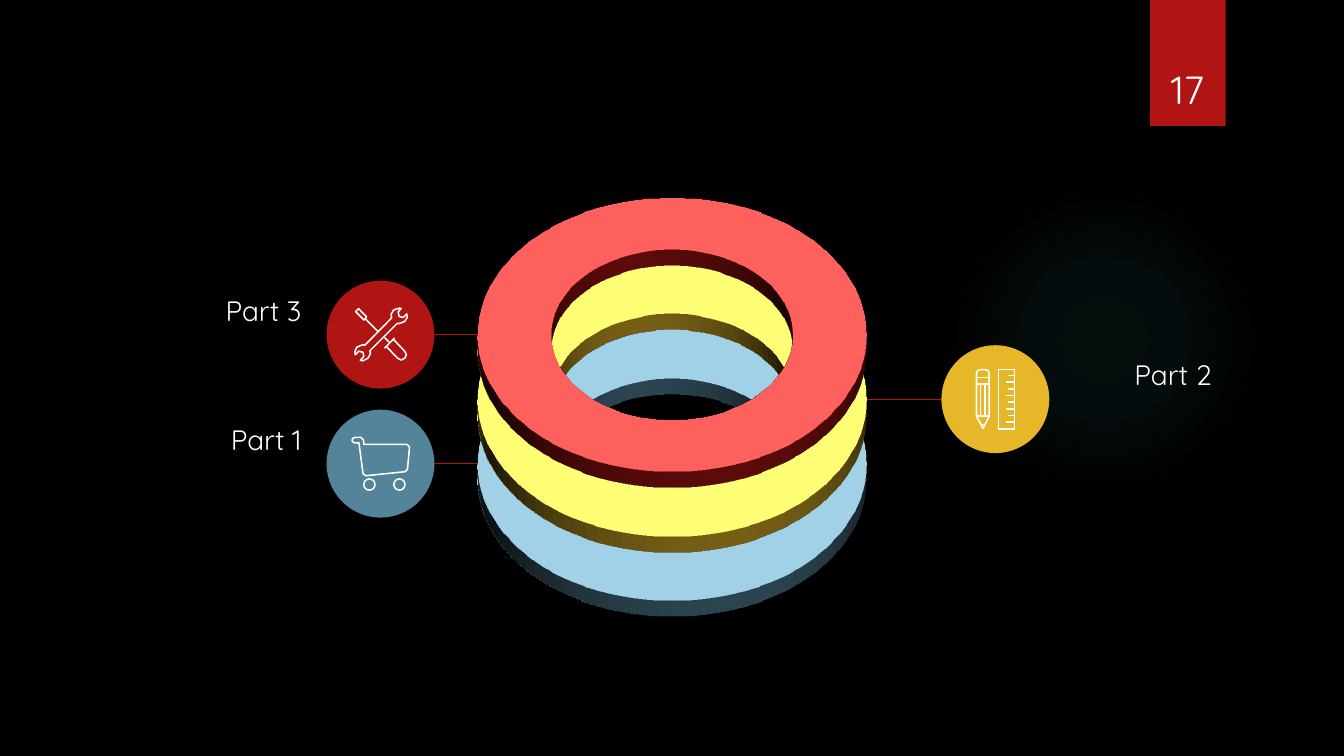
"""Build a slide with three stacked rings, each tied to a labelled badge."""
from dataclasses import dataclass
from math import cos, pi, sin

from lxml import etree
from pptx import Presentation
from pptx import util as u
from pptx.dml.color import RGBColor
from pptx.enum import shapes, text
from pptx.oxml import parse_xml
from pptx.oxml.ns import qn

COLS, ROWS, CELL = 160, 90, 76200
NS = 'xmlns:a="http://schemas.openxmlformats.org/drawingml/2006/main"'
FONT = "Quicksand"
RED, YELLOW, BLUE, WHITE, BLACK = "B01513", "E6B729", "54849A", "FFFFFF", "000000"
RING, RING_LEFT = 46.32, 56.88
BADGE = 12.84
TOP_LEVEL, STEP = 39.84, 7.68

Point = tuple[int, int]


@dataclass
class Part:
    label: str
    color: str
    tier: int
    badge_left: float
    label_left: float
    ring_side: float

    @property
    def level(self) -> float:
        """Give the row of the part's centre line."""
        return TOP_LEVEL + STEP * self.tier


@dataclass
class Stroke:
    points: list[Point]
    closed: bool = False


@dataclass
class Icon:
    left: float
    top: float
    strokes: list[Stroke]


def wheel(x: int, y: int, radius: int = 55, sides: int = 24) -> Stroke:
    """Give a round outline."""
    turns = [2 * pi * i / sides for i in range(sides)]
    return Stroke([(round(x + radius * cos(t)), round(y + radius * sin(t))) for t in turns], True)


PARTS = [
    Part("Part 1", BLUE, 2, 38.88, 19.08, RING_LEFT),
    Part("Part 2", YELLOW, 1, 112.08, 127.44, RING_LEFT + RING),
    Part("Part 3", RED, 0, 38.88, 19.08, RING_LEFT),
]

TOOLS = Icon(42, 36.6, [
    Stroke([(170, 430), (175, 460), (150, 505), (100, 530), (75, 525), (110, 485), (100, 445),
            (60, 435), (25, 470), (20, 440), (40, 395), (100, 370), (120, 375), (385, 105),
            (380, 70), (405, 25), (460, 8), (480, 10), (450, 45), (460, 90), (500, 100),
            (535, 65), (540, 100), (515, 140), (460, 160), (440, 160)], True),
    Stroke([(110, 125), (28, 42), (58, 13), (137, 95)], True),
    Stroke([(125, 115), (245, 235)]),
    Stroke([(315, 298), (360, 345)]),
    Stroke([(315, 405), (415, 303)]),
    Stroke([(335, 390), (445, 505), (480, 522), (515, 505), (532, 470), (515, 435), (405, 320)]),
])
CART = Icon(41.76, 51.96, [
    Stroke([(40, 10), (100, 10), (125, 32), (132, 80), (560, 80), (583, 105), (563, 325),
            (540, 350), (150, 390), (122, 370), (82, 65), (40, 65), (18, 52), (12, 38),
            (20, 20)], True),
    wheel(185, 477),
    wheel(483, 477),
])
PENCIL = Icon(116.16, 43.92, [
    Stroke([(8, 470), (8, 40), (18, 16), (40, 8), (100, 8), (124, 16), (134, 40), (134, 470),
            (72, 590)], True),
    *[Stroke([(8, y), (134, y)]) for y in (85, 150, 470)],
    *[Stroke([(x, 150), (x, 470)]) for x in (48, 94)],
    Stroke([(54, 550), (90, 550)]),
])
RULER = Icon(118.8, 43.92, [
    Stroke([(6, 6), (166, 6), (166, 594), (6, 594)], True),
    *[Stroke([(85 if i % 2 else 105, 66 + 66 * i), (166, 66 + 66 * i)]) for i in range(8)],
])


def g(cells: float) -> u.Emu:
    """Turn grid cells into a length."""
    return u.Emu(round(cells * CELL))


def rgb(value: str) -> RGBColor:
    """Turn a hex string into a colour."""
    return RGBColor.from_string(value)


def add_filled(s, kind, left: float, top: float, width: float, height: float, color: str):
    """Add a flat preset shape without outline or shadow."""
    sp = s.shapes.add_shape(kind, g(left), g(top), g(width), g(height))
    sp.shadow.inherit = False
    sp.fill.solid()
    sp.fill.fore_color.rgb = rgb(color)
    sp.line.fill.background()
    return sp


def add_glow(s) -> None:
    """Add the faint round glow at the right."""
    sp = add_filled(s, shapes.MSO_SHAPE.OVAL, 112.92, 21.96, 36.96, 36.96, BLACK)
    stops = "".join(
        f'<a:gs pos="{pos}000"><a:srgbClr val="50B9C1"><a:alpha val="{alpha}000"/></a:srgbClr></a:gs>'
        for pos, alpha in ((0, 7), (36, 6), (69, 0)))
    grad = parse_xml(
        f'<a:gradFill {NS}><a:gsLst>{stops}</a:gsLst><a:path path="circle">'
        '<a:fillToRect l="50000" t="50000" r="50000" b="50000"/></a:path></a:gradFill>')
    solid = sp._element.spPr.find(qn("a:solidFill"))
    solid.getparent().replace(solid, grad)


def add_ring(s, part: Part) -> None:
    """Add a ring tilted back and extruded downwards."""
    sp = add_filled(s, shapes.MSO_SHAPE.DONUT, RING_LEFT, part.level - RING / 2, RING, RING, part.color)
    sp.adjustments[0] = 0.19
    sp._element.spPr.append(parse_xml(
        f'<a:scene3d {NS}><a:camera prst="orthographicFront">'
        '<a:rot lat="18900000" lon="0" rev="0"/></a:camera>'
        '<a:lightRig rig="threePt" dir="t"/></a:scene3d>'))
    sp._element.spPr.append(parse_xml(f'<a:sp3d {NS} extrusionH="203200"/>'))


def add_text(s, left: float, top: float, width: float, height: float, words: str, size: int, align):
    """Add a one-line text box."""
    sp = s.shapes.add_textbox(g(left), g(top), g(width), g(height))
    tf = sp.text_frame
    tf.word_wrap = True
    p = tf.paragraphs[0]
    p.alignment = align
    r = p.add_run()
    r.text = words
    r.font.size = u.Pt(size)
    r.font.name = FONT
    r.font.color.rgb = rgb(WHITE)
    return tf


def add_icon(s, icon: Icon) -> None:
    """Add a line icon drawn in thousandths of an inch."""
    first = icon.strokes[0]
    pen = s.shapes.build_freeform(*first.points[0], scale=914.4)
    for stroke in icon.strokes:
        if stroke is not first:
            pen.move_to(*stroke.points[0])
        pen.add_line_segments(stroke.points[1:], close=stroke.closed)
    sp = pen.convert_to_shape(g(icon.left), g(icon.top))
    sp.shadow.inherit = False
    sp.fill.background()
    sp.line.color.rgb = rgb(WHITE)
    sp.line.width = u.Pt(1.1)


def add_link(s, part: Part) -> None:
    """Add the line from a badge to its ring."""
    on_left = part.badge_left < part.ring_side
    start = part.badge_left + (BADGE if on_left else 0)
    c = s.shapes.add_connector(
        shapes.MSO_CONNECTOR.STRAIGHT, g(start), g(part.level), g(part.ring_side), g(part.level))
    c.line.color.rgb = rgb(RED)
    c.line.width = u.Pt(0.75)
    etree.SubElement(c._element.spPr, qn("a:effectLst"))


def main() -> None:
    """Build and save the slide."""
    prs = Presentation()
    prs.slide_width, prs.slide_height = g(COLS), g(ROWS)
    s = prs.slides.add_slide(prs.slide_layouts[6])
    s.background.fill.solid()
    s.background.fill.fore_color.rgb = rgb(BLACK)
    add_glow(s)
    add_filled(s, shapes.MSO_SHAPE.RECTANGLE, 136.92, 0, 9, 15, RED)
    for part in PARTS:
        add_ring(s, part)
    for part in PARTS:
        add_filled(s, shapes.MSO_SHAPE.OVAL, part.badge_left, part.level - BADGE / 2, BADGE, BADGE, part.color)
        tf = add_text(s, part.label_left, part.level - 5.5, 18, 5.28, part.label, 20, text.PP_ALIGN.RIGHT)
        tf.auto_size = text.MSO_AUTO_SIZE.SHAPE_TO_FIT_TEXT
        add_link(s, part)
    for icon in (TOOLS, CART, PENCIL, RULER):
        add_icon(s, icon)
    tf = add_text(s, 135.84, 3.84, 11.04, 10.08, "17", 28, text.PP_ALIGN.CENTER)
    tf.vertical_anchor = text.MSO_ANCHOR.BOTTOM
    prs.save("out.pptx")


if __name__ == "__main__":
    main()
